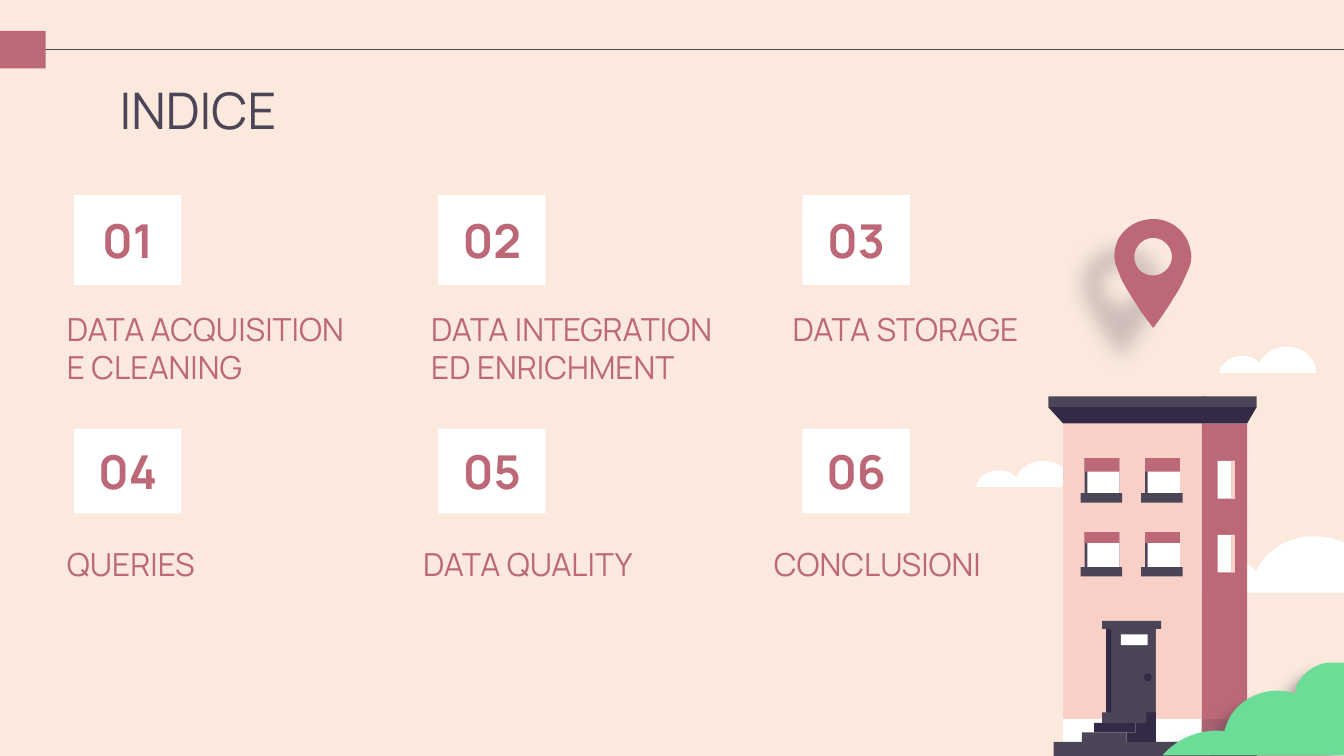
from lxml.etree import SubElement
from pptx import Presentation
from pptx.dml.color import RGBColor
from pptx.enum.shapes import MSO_CONNECTOR as Connector, MSO_SHAPE as Preset
from pptx.enum.text import MSO_ANCHOR as Anchor, MSO_AUTO_SIZE as AutoSize, PP_ALIGN as Align
from pptx.oxml.ns import qn
from pptx.util import Pt

PX = 9144
FONT = "Manrope"
CREAM = RGBColor(0xFA, 0xE9, 0xDC)
ROSE = RGBColor(0xBD, 0x68, 0x77)
BLUSH = RGBColor(0xF9, 0xD0, 0xC8)
SLATE = RGBColor(0x4C, 0x45, 0x57)
SHADE = RGBColor(0x4E, 0x49, 0x58)
NIGHT = RGBColor(0x33, 0x2B, 0x45)
GREEN = RGBColor(0x6B, 0xDD, 0x96)
WHITE = RGBColor(0xFF, 0xFF, 0xFF)

CLOUD = [(155, 42), (155, 40), (155, 18, 134, 0, 108, 0), (88, 0, 71, 11, 65, 26),
         (58, 19, 48, 15, 37, 15), (18, 15, 3, 27, 0, 42)]
BUSH = [(135, 0), (135, 69), (0, 69), (11, 56, 29, 49, 46, 51), (47, 47, 49, 43, 51, 39),
        (61, 24, 81, 17, 99, 23), (99, 19, 100, 16, 102, 13), (107, 6, 115, 1, 123, 0)]
PIN_EDGE = [(30, 0), (19, 0, 9, 6, 4, 15), (1, 22, 0, 29, 3, 36), (4, 39, 5, 41, 6, 44),
            (10, 52, 16, 61, 21, 69), (24, 73, 27, 77, 30, 81), (31, 80),
            (36, 73, 41, 66, 45, 59), (50, 52, 53, 45, 56, 38), (59, 32, 59, 26, 57, 20),
            (54, 9, 44, 1, 32, 0)]
PIN_HOLE = [(30, 14), (38, 14, 44, 21, 44, 28), (44, 36, 37, 42, 30, 42),
            (22, 42, 16, 36, 16, 28), (16, 21, 22, 14, 30, 14)]


def paint(shape, color, alpha=None):
    """Give a shape a flat fill, optionally translucent, without line or shadow."""
    shape.shadow.inherit = False
    shape.fill.solid()
    shape.fill.fore_color.rgb = color
    shape.line.fill.background()
    if alpha is not None:
        tint = shape.element.spPr.find(qn("a:solidFill")).find(qn("a:srgbClr"))
        SubElement(tint, qn("a:alpha"), val=str(alpha * 1000))
    return shape


def block(shapes, left, top, width, height, color, alpha=None, preset=Preset.RECTANGLE):
    """Add a flat preset shape."""
    shape = shapes.add_shape(preset, left * PX, top * PX, width * PX, height * PX)
    return paint(shape, color, alpha)


def trace(contour, steps=12):
    """Turn corners and cubic curves into a list of points."""
    points = [contour[0]]
    for part in contour[1:]:
        if len(part) == 2:
            points.append(part)
            continue
        controls = [points[-1], part[:2], part[2:4], part[4:]]
        for step in range(1, steps + 1):
            t = step / steps
            weights = ((1 - t) ** 3, 3 * t * (1 - t) ** 2, 3 * t * t * (1 - t), t ** 3)
            points.append(tuple(sum(w * c[axis] for w, c in zip(weights, controls))
                                for axis in (0, 1)))
    return points


def outline(shapes, left, top, contours, color, scale=1):
    """Add a flat freeform made of closed contours."""
    builder = None
    for contour in contours:
        points = [(round((left + x * scale) * PX), round((top + y * scale) * PX))
                  for x, y in trace(contour)]
        if builder is None:
            builder = shapes.build_freeform(*points[0], scale=1.0)
        else:
            builder.move_to(*points[0])
        builder.add_line_segments(points[1:], close=True)
    return paint(builder.convert_to_shape(), color)


def cast_shadow(shape, alpha, blur, distance):
    """Cast a soft shadow towards the lower left."""
    effects = shape.element.spPr.find(qn("a:effectLst"))
    shadow = SubElement(effects, qn("a:outerShdw"), blurRad=str(Pt(blur)),
                        dist=str(Pt(distance)), dir=str(138 * 60000),
                        algn="bl", rotWithShape="0")
    tint = SubElement(shadow, qn("a:srgbClr"), val=str(SLATE))
    SubElement(tint, qn("a:alpha"), val=str(alpha * 1000))


def write(shape, text, size, color, anchor, align=Align.LEFT, bold=False):
    """Write one formatted paragraph into a shape."""
    frame = shape.text_frame
    frame.text = text
    frame.word_wrap = True
    frame.auto_size = AutoSize.NONE
    frame.vertical_anchor = anchor
    frame.margin_left = frame.margin_right = frame.margin_top = frame.margin_bottom = 10 * PX
    para = frame.paragraphs[0]
    para.alignment = align
    para.line_spacing = 1.0
    font = para.runs[0].font
    font.name, font.size, font.bold = FONT, Pt(size), bold
    font.color.rgb = color


def header(page, left, top, width):
    """Draw the top rule with its tab and place the title."""
    rule = page.shapes.add_connector(Connector.STRAIGHT, left * PX, (top + 14) * PX,
                                     (left + width) * PX, (top + 14) * PX)
    rule.line.color.rgb = SLATE
    rule.line.width = Pt(0.75)
    SubElement(rule.element.spPr, qn("a:effectLst"))
    block(page.shapes, left, top, 34, 28, ROSE)
    title = page.shapes.title
    title.left, title.top = (left + 79) * PX, (top + 26) * PX
    title.width, title.height = 843 * PX, 63 * PX
    write(title, "INDICE", 27, SLATE, Anchor.TOP)


def clouds(page):
    """Draw the three clouds in one group."""
    group = page.shapes.add_group_shape()
    for left, top, width in ((726, 343, 72), (907, 258, 72), (870, 399, 155)):
        outline(group.shapes, left, top, [CLOUD], WHITE, width / 155)


def front_window(shapes, left, top, blind):
    """Draw a framed window with its blind and sill."""
    block(shapes, left, top, 26, 26, SLATE)
    block(shapes, left + 2, top, 24, 26, WHITE)
    block(shapes, left, top, 26, blind, ROSE)
    block(shapes, left - 3, top + 26, 31, 7, SLATE)


def house(page, left, top):
    """Draw the town house from walls to doorstep."""
    shapes = page.shapes.add_group_shape().shapes

    def parts(*rows):
        """Add blocks measured from the corner of the house."""
        for x, y, width, height, *style in rows:
            block(shapes, left + x, top + y, width, height, *style)

    parts((114, 20, 34, 248, ROSE), (11, 20, 103, 248, BLUSH),
          (11, 240, 103, 28, WHITE), (114, 240, 34, 28, SHADE, 17),
          (0, 0, 117, 8, SLATE), (115, 0, 40, 8, SLATE))
    outline(shapes, left, top, [[(0, 8), (116, 8), (116, 20), (11, 20)]], NIGHT)
    outline(shapes, left, top, [[(115, 8), (155, 8), (148, 20), (115, 20)]], NIGHT)
    for y, blind in ((46, 10), (101, 8)):
        for x in (27, 72):
            front_window(shapes, left + x, top + y, blind)
        parts((126, y + 2, 13, 28, WHITE), (136, y + 2, 3, 28, BLUSH))
    parts((4, 257, 151, 11, SLATE), (120, 257, 35, 11, NIGHT, 57),
          (43, 173, 37, 63, NIGHT), (47, 173, 33, 63, SLATE),
          (54, 177, 20, 8, WHITE), (40, 167, 44, 6, SLATE))
    outline(shapes, left, top, [[(72, 235), (72, 243), (65, 243), (65, 250), (58, 250),
                                 (58, 257), (80, 257), (80, 235)]], NIGHT)
    parts((25, 250, 33, 7, SLATE), (34, 243, 31, 7, NIGHT), (40, 235, 33, 8, SLATE),
          (71, 206, 6, 6, NIGHT, None, Preset.OVAL))


def card(page, left, top, height, number, label, label_box):
    """Place a numbered tile and its label, whose box is relative to the tile."""
    tile = block(page.shapes, left, top, 80, height, WHITE)
    write(tile, number, 25, ROSE, Anchor.MIDDLE, Align.CENTER, True)
    x, y, wide, high = label_box
    caption = page.shapes.add_textbox((left + x) * PX, (top + y) * PX, wide * PX, high * PX)
    write(caption, label, 17, ROSE, Anchor.BOTTOM)


def index(page, left, top):
    """Lay the six cards out in two rows of three."""
    rows = (
        (0, 67, (("DATA ACQUISITION E CLEANING", (-15, 78, 241, 74)),
                 ("DATA INTEGRATION ED ENRICHMENT", (-15, 78, 255, 74)),
                 ("DATA STORAGE", (-17, 73, 205, 51)))),
        (174, 63, (("QUERIES", (-15, 82, 180, 43)),
                   ("DATA QUALITY", (-21, 62, 199, 63)),
                   ("CONCLUSIONI", (-31, 82, 205, 43)))),
    )
    for row, (drop, height, entries) in enumerate(rows):
        for column, (label, label_box) in enumerate(entries):
            card(page, left + column * 271, top + drop, height,
                 f"{row * 3 + column + 1:02}", label, label_box)


def main():
    """Build the index slide and save it."""
    deck = Presentation()
    deck.slide_width = 1000 * PX
    deck.slide_height = deck.slide_width * 9 // 16
    page = deck.slides.add_slide(deck.slide_layouts[5])
    page.background.fill.solid()
    page.background.fill.fore_color.rgb = CREAM
    header(page, 0, 23, 1001)
    clouds(page)
    house(page, 780, 295)
    cast_shadow(outline(page.shapes, 865, 493, [BUSH], GREEN), 41, 6.8, 8.2)
    cast_shadow(outline(page.shapes, 828, 163, [PIN_HOLE, PIN_EDGE], ROSE), 25, 10.1, 23.2)
    index(page, 55, 145)
    deck.save("out.pptx")


if __name__ == "__main__":
    main()
